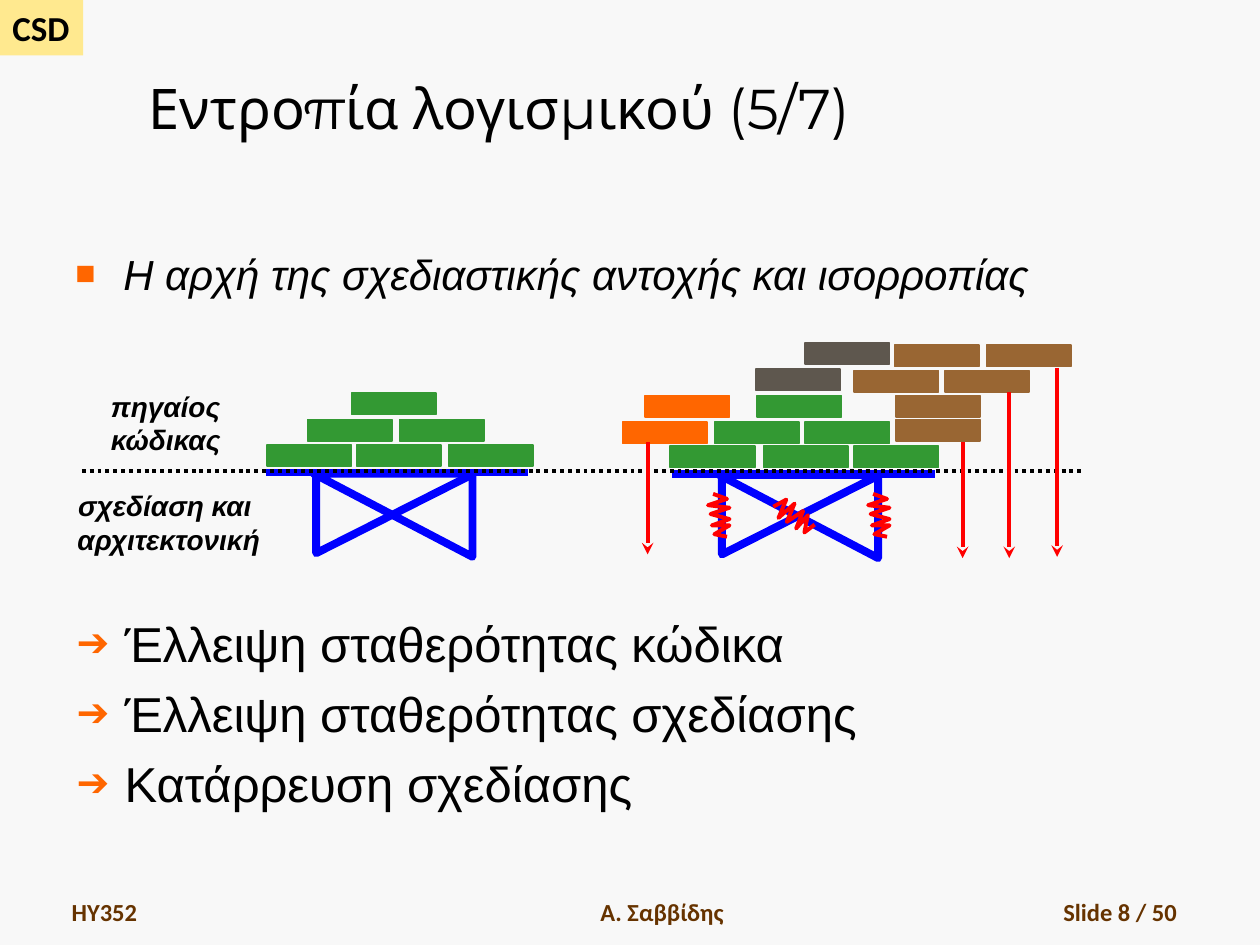
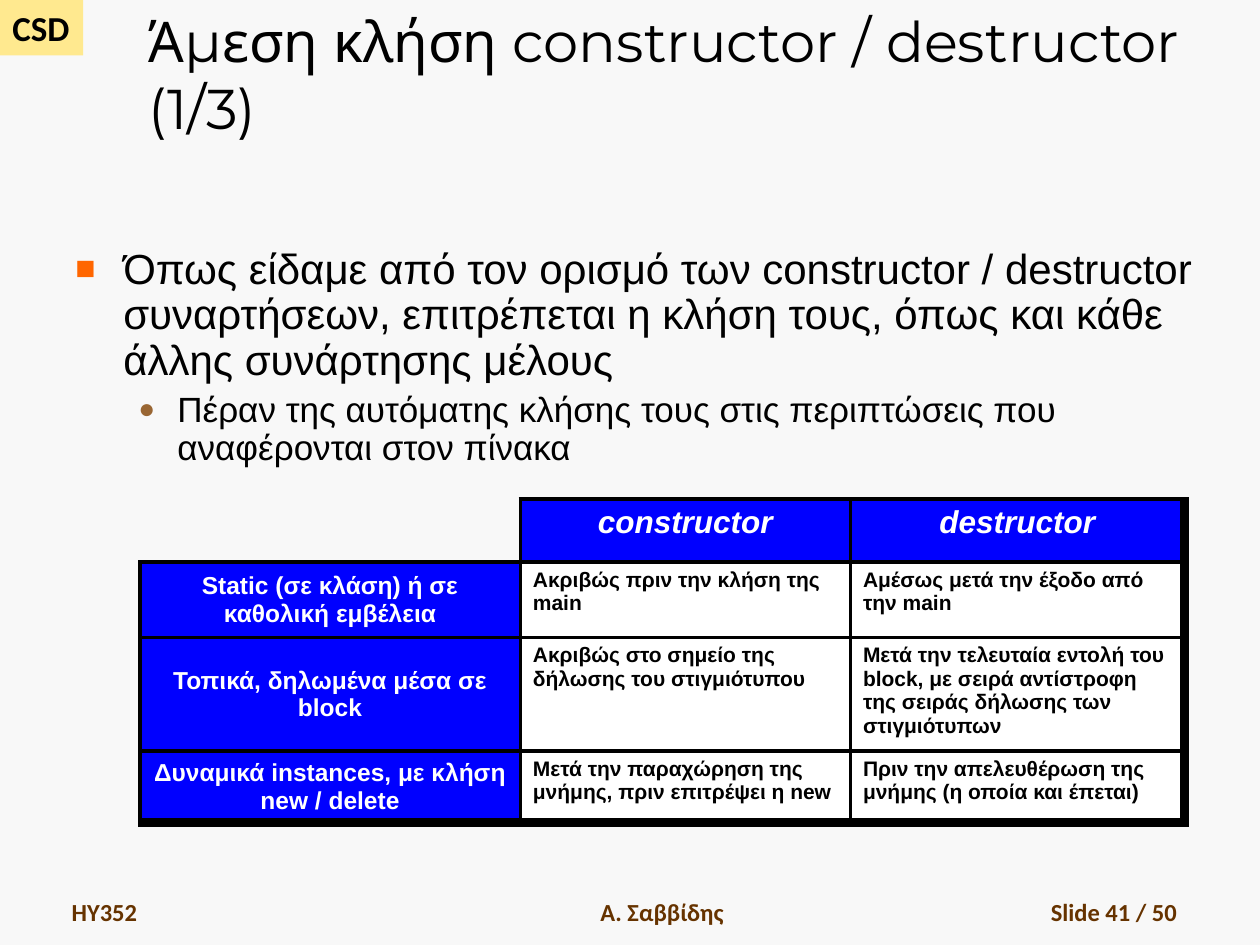
import dataclasses

import lxml.etree
import pptx
import pptx.dml.color
import pptx.enum.dml
import pptx.enum.shapes
import pptx.enum.text
import pptx.oxml.ns
import pptx.util

Inches = pptx.util.Inches
Pt = pptx.util.Pt
RGB = pptx.dml.color.RGBColor.from_string
Align = pptx.enum.text.PP_ALIGN
Anchor = pptx.enum.text.MSO_ANCHOR
qn = pptx.oxml.ns.qn


@dataclasses.dataclass(frozen=True)
class Theme:
    background: str = "F8F8F8"
    badge: str = "FFE98F"
    ink: str = "000000"
    paper: str = "FFFFFF"
    footer: str = "663300"
    orange: str = "FF6600"
    brown: str = "996633"
    green: str = "339933"
    grey: str = "5E574E"
    blue: str = "0000FF"
    red: str = "FF0000"
    title_font: str = "Montserrat"
    body_font: str = "Arial"
    footer_font: str = "Calibri"
    title_size: int = 32
    list_size: int = 28
    body_size: int = 24
    small_body_size: int = 20
    badge_size: int = 20
    footer_size: int = 14
    label_size: int = 16
    column_head_size: int = 18
    row_head_size: int = 14
    cell_size: int = 12


theme = Theme()


def add_text(slide, place, lines, size, font=theme.body_font, color=theme.ink, bold=False,
             italic=False, align=Align.LEFT, anchor=Anchor.TOP, wrap=True):
    """Add a text box with one paragraph per line, all in the same type."""
    box = slide.shapes.add_textbox(*map(Inches, place))
    frame = box.text_frame
    frame.word_wrap = wrap
    frame.vertical_anchor = anchor
    frame.text = "\n".join(lines)
    for para in frame.paragraphs:
        para.alignment = align
        for span in para.runs:
            span.font.size = Pt(size)
            span.font.name = font
            span.font.bold = bold
            span.font.italic = italic
            span.font.color.rgb = RGB(color)
    return box


def set_bullet(para, glyph, color, margin=0.38, hang=0.38):
    """Give a paragraph a hanging bullet and a gap of a fifth of its line."""
    para.space_before = Pt(0.23 * para.runs[0].font.size.pt)
    props = para._p.get_or_add_pPr()
    props.set("marL", str(Inches(margin)))
    props.set("indent", str(-Inches(hang)))
    bullet_color = lxml.etree.SubElement(props, qn("a:buClr"))
    lxml.etree.SubElement(bullet_color, qn("a:srgbClr"), val=color)
    lxml.etree.SubElement(props, qn("a:buSzPct"), val="80000")
    lxml.etree.SubElement(props, qn("a:buFont"), typeface=theme.body_font)
    lxml.etree.SubElement(props, qn("a:buChar"), char=glyph)


deck = pptx.Presentation()
deck.slide_width, deck.slide_height = Inches(10), Inches(7.5)

# Shared frame of both slides
pages = []
for title, number in (("Εντροπία λογισμικού (5/7)", 8),
                      ("Άμεση κλήση constructor / destructor (1/3)", 41)):
    page = deck.slides.add_slide(deck.slide_layouts[6])
    page.background.fill.solid()
    page.background.fill.fore_color.rgb = RGB(theme.background)
    badge = add_text(page, (0, 0, 0.66, 0.44), ["CSD"], theme.badge_size,
                     theme.footer_font, bold=True, wrap=False)
    badge.fill.solid()
    badge.fill.fore_color.rgb = RGB(theme.badge)
    for left, width, text, align in ((0.47, 2.19, "HY352", Align.LEFT),
                                     (3.67, 3.17, "Α. Σαββίδης", Align.CENTER),
                                     (7.36, 2.08, f"Slide {number} / 50", Align.RIGHT)):
        add_text(page, (left, 6.9, width, 0.5), [text], theme.footer_size, theme.footer_font,
                 theme.footer, bold=True, align=align, anchor=Anchor.BOTTOM)
    add_text(page, (1.08, 0.17, 8.92, 1), [title], theme.title_size, theme.title_font,
             anchor=Anchor.BOTTOM)
    pages.append(page)
entropy_page, calls_page = pages

# Slide 1: text
principle = add_text(entropy_page, (0.5, 1.92, 9.08, 0.61),
                     ["Η αρχή της σχεδιαστικής αντοχής και ισορροπίας"],
                     theme.body_size, italic=True)
set_bullet(principle.text_frame.paragraphs[0], "■", theme.orange)

effects = add_text(entropy_page, (0.51, 4.82, 9.11, 1.79),
                   ["Έλλειψη σταθερότητας κώδικα",
                    "Έλλειψη σταθερότητας σχεδίασης",
                    "Κατάρρευση σχεδίασης"], theme.list_size)
for para in effects.text_frame.paragraphs:
    set_bullet(para, "➔", theme.orange)

for place, lines in (((0.51, 3.83, 1.66, 0.64), ["σχεδίαση και ", "αρχιτεκτονική"]),
                     ((0.77, 3.04, 1.09, 0.64), ["πηγαίος", "κώδικας"])):
    add_text(entropy_page, place, lines, theme.label_size, bold=True, italic=True,
             align=Align.CENTER, wrap=False)

# Slide 1: brick piles, each row as colour, top and left edges
brick_rows = (
    (theme.green, 3.53, (2.12, 2.83, 3.56)),
    (theme.green, 3.33, (2.44, 3.17)),
    (theme.green, 3.12, (2.79,)),
    (theme.green, 3.54, (5.32, 6.06, 6.78)),
    (theme.green, 3.35, (5.67, 6.39)),
    (theme.green, 3.14, (6.01,)),
    (theme.orange, 3.35, (4.94,)),
    (theme.orange, 3.14, (5.12,)),
    (theme.brown, 3.33, (7.11,)),
    (theme.brown, 3.14, (7.11,)),
    (theme.brown, 2.94, (6.78, 7.5)),
    (theme.brown, 2.74, (7.1, 7.83)),
    (theme.grey, 2.93, (6,)),
    (theme.grey, 2.72, (6.39,)),
)
for color, top, lefts in brick_rows:
    for left in lefts:
        brick = entropy_page.shapes.add_shape(
            pptx.enum.shapes.MSO_SHAPE.RECTANGLE,
            Inches(left), Inches(top), Inches(0.67), Inches(0.17))
        brick.shadow.inherit = False
        brick.fill.solid()
        brick.fill.fore_color.rgb = RGB(color)
        brick.line.color.rgb = RGB(color)
        brick.line.width = Pt(1)

# Slide 1: trestles and springs, as left, top, points, closed, colour, width, rotation
brace = ((0, 0), (1.26, 0), (1.26, 0.66))
strut = ((1.25, 0.01), (0.02, 0.63), (0.02, 0.01))
spring = ((0.04, 0), (0.15, 0.04), (0, 0.09), (0.17, 0.11), (0.02, 0.16),
          (0.17, 0.2), (0.03, 0.25), (0.17, 0.25), (0.05, 0.32), (0.15, 0.34))
outlines = [(left, top, points, closed, theme.blue, 4.5, 0)
            for left, top in ((2.49, 3.76), (5.71, 3.77))
            for points, closed in ((brace, True), (strut, False))]
outlines += [(left, top, spring, False, theme.red, 2.25, turn)
             for left, top, turn in ((6.89, 3.92, 0), (5.62, 3.92, 0), (6.21, 3.93, 311.4))]
for left, top, points, closed, color, width, turn in outlines:
    corners = [(Inches(left + x), Inches(top + y)) for x, y in points]
    builder = entropy_page.shapes.build_freeform(*corners[0])
    builder.add_line_segments(corners[1:], close=closed)
    outline = builder.convert_to_shape()
    outline.shadow.inherit = False
    outline.fill.background()
    outline.line.color.rgb = RGB(color)
    outline.line.width = Pt(width)
    outline.rotation = turn

# Slide 1: trestle tops, ground line and falling arrows
lines = [((2.11, 3.75), (4.19, 3.75), theme.blue, 4.5),
         ((5.33, 3.76), (7.42, 3.76), theme.blue, 4.5),
         ((0.65, 3.74), (8.6, 3.74), theme.ink, 2.25)]
lines += [((x, top), (x, bottom), theme.red, 2.25)
          for x, top, bottom in ((8.39, 2.92, 4.42), (8.01, 3.11, 4.43),
                                 (5.14, 3.51, 4.4), (7.64, 3.51, 4.43))]
for start, end, color, width in lines:
    line = entropy_page.shapes.add_connector(
        pptx.enum.shapes.MSO_CONNECTOR.STRAIGHT, *map(Inches, start + end))
    line.line.color.rgb = RGB(color)
    line.line.width = Pt(width)
    if color == theme.ink:
        line.line.dash_style = pptx.enum.dml.MSO_LINE.ROUND_DOT
    if color == theme.red:
        lxml.etree.SubElement(line.line._get_or_add_ln(), qn("a:tailEnd"), type="stealth")
    lxml.etree.SubElement(line._element.spPr, qn("a:effectLst"))

# Slide 2: text
intro = add_text(calls_page, (0.5, 1.92, 9.08, 2.01),
                 ["Όπως είδαμε από τον ορισμό των constructor / destructor συναρτήσεων, "
                  "επιτρέπεται η κλήση τους, όπως και κάθε άλλης συνάρτησης μέλους",
                  "Πέραν της αυτόματης κλήσης τους στις περιπτώσεις που αναφέρονται "
                  "στον πίνακα"], theme.body_size)
main_point, sub_point = intro.text_frame.paragraphs
sub_point.runs[0].font.size = Pt(theme.small_body_size)
sub_point.level = 1
main_point.line_spacing = sub_point.line_spacing = 0.9
set_bullet(main_point, "■", theme.orange)
set_bullet(sub_point, "●", theme.brown, 0.81, 0.31)

# Slide 2: table of call times
call_times = (
    ("", "constructor", "destructor"),
    ("Static (σε κλάση) ή σε καθολική εμβέλεια",
     "Ακριβώς πριν την κλήση της main",
     "Αμέσως μετά την έξοδο από την main"),
    ("Τοπικά, δηλωμένα μέσα σε block",
     "Ακριβώς στο σημείο της δήλωσης του στιγμιότυπου",
     "Μετά την τελευταία εντολή του block, με σειρά αντίστροφη της σειράς δήλωσης "
     "των στιγμιότυπων"),
    ("Δυναμικά instances, με κλήση new / delete",
     "Μετά την παραχώρηση της μνήμης, πριν επιτρέψει η new",
     "Πριν την απελευθέρωση της μνήμης (η οποία και έπεται)"),
)
column_widths = (3.02, 2.62, 2.65)
row_heights = (0.5, 0.6, 0.85, 0.53)
table = calls_page.shapes.add_table(
    len(row_heights), len(column_widths), Inches(1.11), Inches(3.96),
    Inches(sum(column_widths)), Inches(sum(row_heights))).table
table.first_row = table.horz_banding = False
for column, width in zip(table.columns, column_widths):
    column.width = Inches(width)
for row, height in zip(table.rows, row_heights):
    row.height = Inches(height)

for r, texts in enumerate(call_times):
    for c, text in enumerate(texts):
        cell = table.cell(r, c)
        corner = r == 0 and c == 0
        heading = r == 0 or c == 0
        cell.text = text
        cell.vertical_anchor = Anchor.MIDDLE if c == 0 else Anchor.TOP
        if corner:
            cell.fill.background()
        else:
            cell.fill.solid()
            cell.fill.fore_color.rgb = RGB(theme.blue if heading else theme.paper)
        para = cell.text_frame.paragraphs[0]
        para.alignment = Align.CENTER if heading else Align.LEFT
        for span in para.runs:
            span.font.name = theme.body_font
            span.font.bold = True
            span.font.italic = r == 0
            span.font.color.rgb = RGB(theme.paper if heading else theme.ink)
            span.font.size = Pt(theme.column_head_size if r == 0 else
                                theme.row_head_size if c == 0 else theme.cell_size)
        edges = {"a:lnL": 0 if corner else 2.25,
                 "a:lnR": 6 if c == len(column_widths) - 1 else 2.25,
                 "a:lnT": 0 if corner else 2.25,
                 "a:lnB": 6 if r == len(row_heights) - 1 else 2.25}
        props = cell._tc.get_or_add_tcPr()
        for position, (tag, width) in enumerate(edges.items()):
            edge = lxml.etree.Element(qn(tag), w=str(Pt(width)))
            props.insert(position, edge)
            paint = lxml.etree.SubElement(edge, qn("a:solidFill" if width else "a:noFill"))
            if width:
                lxml.etree.SubElement(paint, qn("a:srgbClr"), val=theme.ink)

deck.save("out.pptx")
